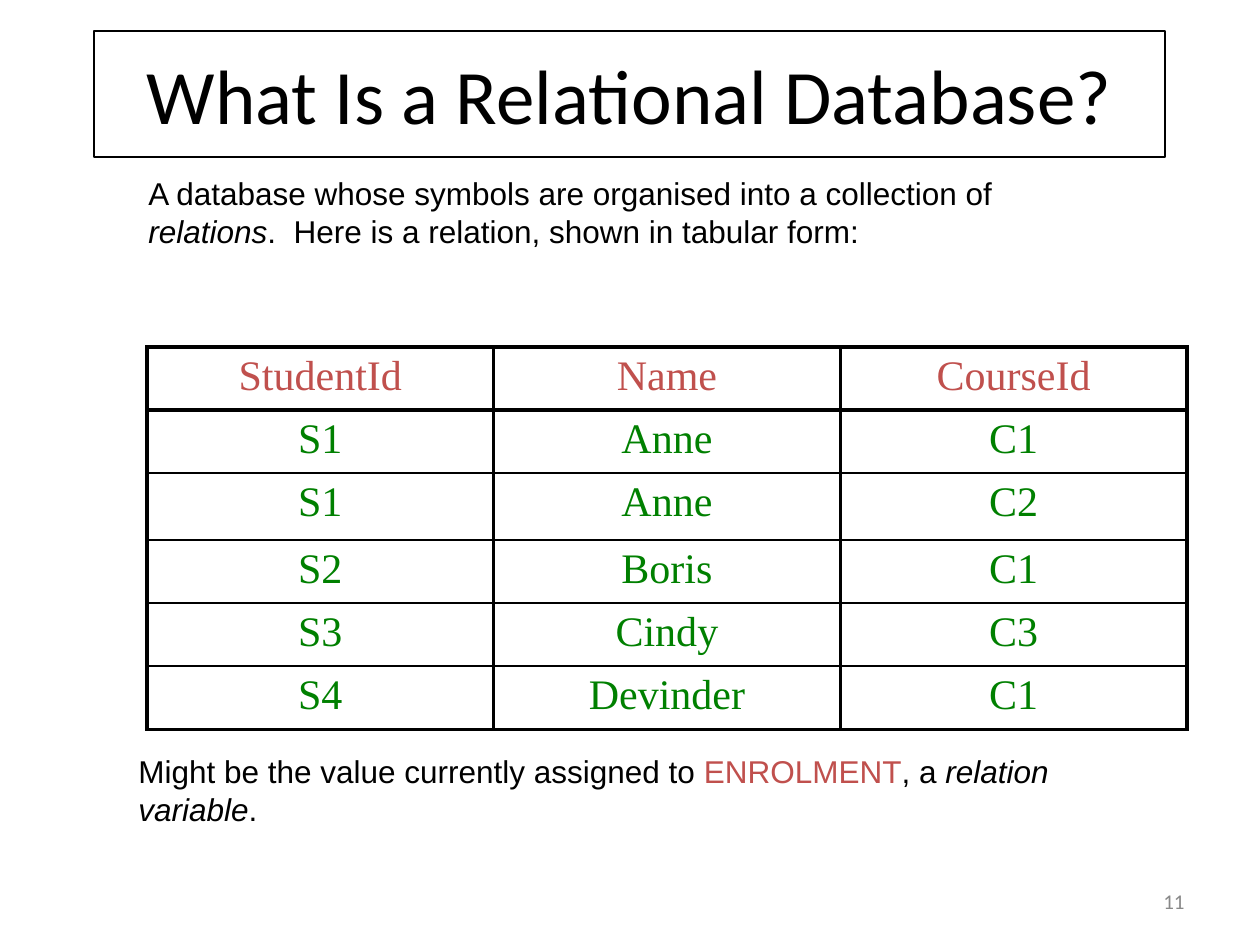
from dataclasses import dataclass

from lxml.etree import SubElement
from pptx import Presentation
from pptx.dml.color import RGBColor
from pptx.enum.shapes import MSO_SHAPE
from pptx.enum.text import MSO_ANCHOR, PP_ALIGN
from pptx.oxml.ns import qn
from pptx.util import Emu, Pt

PX_PER_INCH = 126
BLACK = RGBColor(0x00, 0x00, 0x00)
RED = RGBColor(0xC0, 0x50, 0x4D)
GREEN = RGBColor(0x00, 0x80, 0x00)
GREY = RGBColor(0x89, 0x89, 0x89)

THICK, THIN = 2.25, 1
ROW_HEIGHTS = (63, 63, 67, 63, 63, 63)
ENROLMENT = (
    ("StudentId", "Name", "CourseId"),
    ("S1", "Anne", "C1"),
    ("S1", "Anne", "C2"),
    ("S2", "Boris", "C1"),
    ("S3", "Cindy", "C3"),
    ("S4", "Devinder", "C1"),
)


@dataclass(frozen=True)
class Box:
    left: int
    top: int
    width: int
    height: int

    def emu(self) -> tuple[Emu, ...]:
        return tuple(px(n) for n in (self.left, self.top, self.width, self.height))


@dataclass(frozen=True)
class Span:
    text: str
    color: RGBColor = BLACK
    italic: bool = False


@dataclass(frozen=True)
class TextBlock:
    box: Box
    spans: tuple[Span, ...]
    font: str
    size: int
    align: PP_ALIGN = PP_ALIGN.LEFT
    anchor: MSO_ANCHOR = MSO_ANCHOR.TOP


def px(length: int) -> Emu:
    return Emu(round(length * 914400 / PX_PER_INCH))


def style_font(font, name: str, size: int, color: RGBColor) -> None:
    font.name = name
    font.size = Pt(size)
    font.color.rgb = color


def fill_text(shape, block: TextBlock) -> None:
    frame = shape.text_frame
    frame.word_wrap = True
    frame.vertical_anchor = block.anchor
    paragraph = frame.paragraphs[0]
    paragraph.alignment = block.align
    for span in block.spans:
        run = paragraph.add_run()
        run.text = span.text
        style_font(run.font, block.font, block.size, span.color)
        run.font.italic = span.italic


def add_text(slide, block: TextBlock) -> None:
    fill_text(slide.shapes.add_textbox(*block.box.emu()), block)


def add_title(slide, block: TextBlock) -> None:
    frame = slide.shapes.add_shape(MSO_SHAPE.RECTANGLE, *block.box.emu())
    frame.shadow.inherit = False
    frame.fill.background()
    frame.line.color.rgb = BLACK
    frame.line.width = Pt(0.75)
    fill_text(frame, block)


def set_borders(cell, top: float, bottom: float) -> None:
    """Draw thick sides, with top and bottom lines of the given points."""
    properties = cell._tc.get_or_add_tcPr()
    sides = (("a:lnL", THICK), ("a:lnR", THICK), ("a:lnT", top), ("a:lnB", bottom))
    for position, (tag, width) in enumerate(sides):
        line = SubElement(properties, qn(tag), w=str(Pt(width)))
        solid = SubElement(line, qn("a:solidFill"))
        SubElement(solid, qn("a:srgbClr"), val=str(BLACK))
        properties.insert(position, line)


def add_relation(slide, box: Box) -> None:
    row_count, column_count = len(ENROLMENT), len(ENROLMENT[0])
    table = slide.shapes.add_table(row_count, column_count, *box.emu()).table
    table.first_row = False
    table.horz_banding = False
    for r, (values, height) in enumerate(zip(ENROLMENT, ROW_HEIGHTS)):
        table.rows[r].height = px(height)
        for c, value in enumerate(values):
            cell = table.cell(r, c)
            cell.fill.background()
            set_borders(
                cell,
                top=THICK if r <= 1 else THIN,
                bottom=THICK if r in (0, row_count - 1) else THIN,
            )
            cell.text_frame.text = value
            paragraph = cell.text_frame.paragraphs[0]
            paragraph.alignment = PP_ALIGN.CENTER
            style_font(paragraph.runs[0].font, "Times New Roman", 24,
                       RED if r == 0 else GREEN)


def main() -> None:
    presentation = Presentation()
    presentation.slide_width = px(1260)
    presentation.slide_height = px(945)
    slide = presentation.slides.add_slide(presentation.slide_layouts[6])

    add_text(slide, TextBlock(
        Box(903, 876, 294, 50), (Span("11", GREY),), "Calibri", 12,
        PP_ALIGN.RIGHT, MSO_ANCHOR.MIDDLE))
    add_title(slide, TextBlock(
        Box(94, 31, 1071, 126), (Span("What Is a Relational Database?"),),
        "Calibri", 44, PP_ALIGN.CENTER, MSO_ANCHOR.MIDDLE))
    add_text(slide, TextBlock(
        Box(136, 168, 966, 164),
        (Span("A database whose symbols are organised into a collection of "),
         Span("relations", italic=True),
         Span(".  Here is a relation, shown in tabular form:")),
        "Arial", 18))
    add_text(slide, TextBlock(
        Box(126, 746, 1029, 89),
        (Span("Might be the value currently assigned to "),
         Span("ENROLMENT", RED),
         Span(", a "),
         Span("relation variable", italic=True),
         Span(".")),
        "Arial", 18))
    add_relation(slide, Box(147, 347, 1040, sum(ROW_HEIGHTS)))

    presentation.save("out.pptx")


if __name__ == "__main__":
    main()
